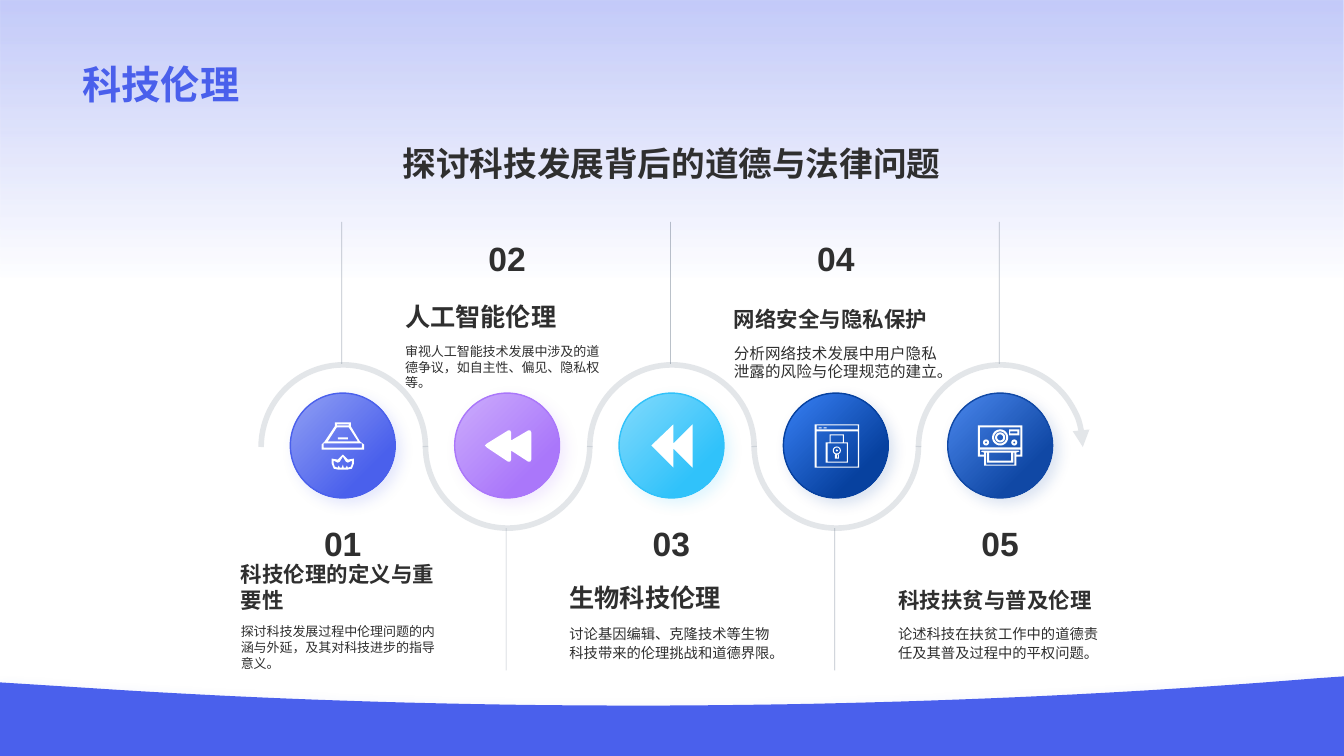
import math
from dataclasses import dataclass

import pptx
import pptx.dml.color
import pptx.enum.shapes
import pptx.enum.text
import pptx.oxml
import pptx.oxml.ns
import pptx.util
from pptx.util import Inches

ALIGN = pptx.enum.text.PP_ALIGN
ANCHOR = pptx.enum.text.MSO_ANCHOR
SHAPE = pptx.enum.shapes.MSO_SHAPE
STEP = 1.63  # distance between neighbouring topics, also the arc diameter


@dataclass(frozen=True)
class Theme:
    font: str = "Arial"
    primary: str = "4A60EC"
    ink: str = "2F2F2F"
    guide: str = "778495"
    white: str = "FFFFFF"
    title_size: float = 28
    large_size: float = 24
    heading_size: float = 18
    small_heading_size: float = 15.3


THEME = Theme()


@dataclass(frozen=True)
class Topic:
    heading: str
    heading_size: float
    body: str
    body_size: float
    body_spacing: float
    light: str
    dark: str
    icon: list


def rgb(value):
    return pptx.dml.color.RGBColor.from_string(value)


def add_xml(parent, tag, **attributes):
    child = pptx.oxml.parse_xml(f"<a:{tag} {pptx.oxml.ns.nsdecls('a')}/>")
    for name, value in attributes.items():
        child.set(name, str(value))
    parent.append(child)
    return child


def set_opacity(parent, percent):
    for color in parent.iter(pptx.oxml.ns.qn("a:srgbClr")):
        add_xml(color, "alpha", val=percent * 1000)


def add_shadow(shape, color, distance, degrees):
    shape.shadow.inherit = False
    effects = shape._element.spPr.find(pptx.oxml.ns.qn("a:effectLst"))
    shadow = add_xml(effects, "outerShdw", blurRad=pptx.util.Pt(10), dist=pptx.util.Pt(distance),
                     dir=degrees * 60000, algn="tl", rotWithShape=0)
    add_xml(shadow, "srgbClr", val=color)
    set_opacity(shadow, 15)


def style_line(shape, width, opacity):
    shape.line.color.rgb = rgb(THEME.guide)
    shape.line.width = pptx.util.Pt(width)
    set_opacity(shape.line._ln, opacity)


def write_text(shape, text, size, color=THEME.ink, bold=False, align=ALIGN.LEFT,
               anchor=ANCHOR.TOP, spacing=1.0, wrap=True):
    frame = shape.text_frame
    frame.word_wrap = wrap
    frame.vertical_anchor = anchor
    frame.text = text
    paragraph = frame.paragraphs[0]
    paragraph.alignment = align
    paragraph.line_spacing = spacing
    font = paragraph.font
    font.name, font.size, font.bold = THEME.font, pptx.util.Pt(size), bold
    font.color.rgb = rgb(color)


def add_text(slide, left, top, width, height, text, size, **style):
    box = slide.shapes.add_textbox(Inches(left), Inches(top), Inches(width), Inches(height))
    write_text(box, text, size, **style)


def add_gradient(slide, left, top, width, height, radius, stops, angle):
    """Add a rounded rectangle; the angle runs counter-clockwise."""
    shape = slide.shapes.add_shape(SHAPE.ROUNDED_RECTANGLE, Inches(left), Inches(top),
                                   Inches(width), Inches(height))
    shape.adjustments[0] = radius
    shape.shadow.inherit = False
    shape.line.fill.background()
    shape.fill.gradient()
    shape.fill.gradient_angle = angle
    for stop, (position, color) in zip(shape.fill.gradient_stops, stops):
        stop.position = position
        stop.color.rgb = rgb(color)
    return shape


def add_arc(slide, left, top, angles):
    arc = slide.shapes.add_shape(SHAPE.ARC, Inches(left), Inches(top), Inches(STEP), Inches(STEP))
    arc.adjustments[0], arc.adjustments[1] = angles
    arc.shadow.inherit = False
    arc.fill.background()
    style_line(arc, 4, 20)
    return arc


def add_separator(slide, x, bottom, top):
    line = slide.shapes.add_connector(pptx.enum.shapes.MSO_CONNECTOR.STRAIGHT, Inches(x),
                                      Inches(bottom), Inches(x), Inches(top))
    style_line(line, 0.5, 50)
    add_xml(line._element.spPr, "effectLst")


def add_outline(slide, contours, color):
    """Fill closed contours; a contour inside another cuts a hole."""
    builder = None
    for contour in contours:
        start, *rest = [(Inches(x), Inches(y)) for x, y in contour]
        if builder is None:
            builder = slide.shapes.build_freeform(*start)
        else:
            builder.move_to(*start)
        builder.add_line_segments(rest, close=True)
    shape = builder.convert_to_shape()
    shape.shadow.inherit = False
    shape.fill.solid()
    shape.fill.fore_color.rgb = rgb(color)
    shape.line.fill.background()
    return shape


def box(left, top, right, bottom):
    return [(left, top), (right, top), (right, bottom), (left, bottom)]


def disc(x, y, radius):
    angles = [math.tau * k / 24 for k in range(24)]
    return [(x + radius * math.cos(a), y + radius * math.sin(a)) for a in angles]


def curve(*points):
    """Sample a cubic Bezier curve, leaving out its first point."""
    weights = [((1 - t) ** 3, 3 * t * (1 - t) ** 2, 3 * t * t * (1 - t), t ** 3)
               for t in (k / 24 for k in range(1, 25))]
    return [tuple(sum(w * p[axis] for w, p in zip(row, points)) for axis in (0, 1))
            for row in weights]


LAMP = [
    [(3.22, 4.38), (3.32, 4.23), (3.32, 4.19), (3.48, 4.19), (3.48, 4.23), (3.57, 4.38),
     (3.61, 4.41), (3.61, 4.46), (3.19, 4.46), (3.19, 4.41)],
    box(3.21, 4.4, 3.59, 4.44), box(3.34, 4.21, 3.46, 4.22), box(3.35, 4.34, 3.45, 4.36),
    [(3.25, 4.38), (3.55, 4.38), (3.46, 4.24), (3.34, 4.24)],
    [(3.4, 4.51), (3.45, 4.56), (3.51, 4.55), (3.51, 4.6), (3.49, 4.65), (3.44, 4.66),
     (3.36, 4.66), (3.31, 4.65), (3.29, 4.6), (3.29, 4.55), (3.35, 4.56)],
    [(3.35, 4.64), (3.36, 4.62), (3.37, 4.64), (3.39, 4.64), (3.4, 4.61), (3.41, 4.64),
     (3.43, 4.64), (3.44, 4.62), (3.45, 4.64), (3.48, 4.63), (3.49, 4.6), (3.49, 4.57),
     (3.45, 4.59), (3.43, 4.58), (3.4, 4.53), (3.37, 4.58), (3.35, 4.59), (3.31, 4.57),
     (3.31, 4.6), (3.32, 4.63)]]
SOFT_REWIND = [[(5.24, 4.27), (5.07, 4.37), (5.07, 4.29), (5.06, 4.27), (5.04, 4.27), (4.83, 4.4),
                (4.81, 4.42), (4.83, 4.44), (5.04, 4.58), (5.06, 4.58), (5.07, 4.56), (5.07, 4.47),
                (5.24, 4.58), (5.26, 4.58), (5.27, 4.56), (5.27, 4.29), (5.26, 4.27)]]
SHARP_REWIND = [[(6.87, 4.64), (6.68, 4.45), (6.68, 4.64), (6.46, 4.42), (6.68, 4.21),
                 (6.68, 4.4), (6.87, 4.21)]]
LOCKED_WINDOW = [
    box(8.08, 4.21, 8.52, 4.64), box(8.1, 4.22, 8.51, 4.26), box(8.1, 4.28, 8.51, 4.63),
    box(8.12, 4.24, 8.15, 4.25), box(8.17, 4.24, 8.2, 4.25),
    [(8.19, 4.39), (8.23, 4.39), (8.23, 4.31), (8.37, 4.31), (8.37, 4.39), (8.41, 4.39),
     (8.41, 4.59), (8.19, 4.59)],
    box(8.24, 4.32, 8.36, 4.39), box(8.21, 4.4, 8.4, 4.58), box(8.28, 4.51, 8.32, 4.55),
    box(8.3, 4.51, 8.31, 4.54), *[disc(8.3, 4.47, r) for r in (0.04, 0.03, 0.01)]]
CAMERA = [
    [(9.7, 4.22), (10.14, 4.22), (10.14, 4.53), (10.08, 4.53), (10.08, 4.62), (9.76, 4.62),
     (9.76, 4.53), (9.7, 4.53)],
    box(9.72, 4.24, 10.12, 4.44), box(10.01, 4.26, 10.11, 4.32), box(10.02, 4.28, 10.09, 4.3),
    *[disc(9.92, 4.34, r) for r in (0.08, 0.06, 0.05, 0.03)],
    *[disc(x, 4.39, r) for x in (9.78, 10.06) for r in (0.03, 0.01)],
    [(9.72, 4.46), (10.12, 4.46), (10.12, 4.51), (10.08, 4.51), (10.08, 4.49), (10.11, 4.48),
     (10.1, 4.47), (9.74, 4.47), (9.73, 4.48), (9.76, 4.49), (9.76, 4.51), (9.72, 4.51)],
    [(9.78, 4.49), (9.79, 4.49), (9.79, 4.59), (10.05, 4.59), (10.05, 4.49), (10.06, 4.49),
     (10.06, 4.61), (9.78, 4.61)], box(9.81, 4.49, 10.03, 4.57)]
WAVE = [(13.33, 6.71), (13.33, 7.5), (0, 7.5), (0, 6.77), (0.95, 6.83),
        *curve((0.95, 6.83), (2.64, 6.94), (4.44, 7), (6.31, 7)),
        *curve((6.31, 7), (8.7, 7), (10.98, 6.9), (13.05, 6.73))]

TOPICS = [
    Topic("科技伦理的定义与重要性", THEME.small_heading_size,
          "探讨科技发展过程中伦理问题的内涵与外延，及其对科技进步的指导意义。",
          9.3, 1.0, "92A0F4", "4A60EC", LAMP),
    Topic("人工智能伦理", THEME.heading_size,
          "审视人工智能技术发展中涉及的道德争议，如自主性、偏见、隐私权等。",
          9.3, 1.0, "CCADFC", "AA77FA", SOFT_REWIND),
    Topic("生物科技伦理", THEME.heading_size,
          "讨论基因编辑、克隆技术等生物科技带来的伦理挑战和道德界限。",
          10.2, 1.1, "83DAFC", "30C2FA", SHARP_REWIND),
    Topic("网络安全与隐私保护", THEME.small_heading_size,
          "分析网络技术发展中用户隐私泄露的风险与伦理规范的建立。",
          11.1, 1.0, "3981F6", "07419F", LOCKED_WINDOW),
    Topic("科技扶贫与普及伦理", THEME.small_heading_size,
          "论述科技在扶贫工作中的道德责任及其普及过程中的平权问题。",
          10.2, 1.1, "4B88EE", "1048A5", CAMERA)]


def add_topic(slide, index, topic):
    """Add one topic; even indexes have their text below the arc, odd ones above."""
    shift = index * STEP
    below = index % 2 == 0
    arc = add_arc(slide, 2.59 + shift, 3.62 if below else 3.61, (108, 0) if below else (0, 108))
    if index == len(TOPICS) - 1:
        add_xml(arc.line._ln, "tailEnd", type="triangle")
    add_separator(slide, 3.39 + shift, *((3.61, 2.2) if below else (6.65, 5.24)))
    number_top, heading_top, body_top = (5.1, 5.61, 6.14) if below else (2.27, 2.82, 3.36)
    add_text(slide, 2.29 + shift, heading_top, 2.23, 0.52, topic.heading, topic.heading_size,
             bold=True, anchor=ANCHOR.BOTTOM)
    add_text(slide, 2.29 + shift, body_top, 2.23, 0.48, topic.body, topic.body_size,
             spacing=topic.body_spacing)
    circle = add_gradient(slide, 2.88 + shift, 3.9, 1.04, 1.04, 0.5,
                          [(0, topic.light), (0.75, topic.dark)], 315)
    circle.line.color.rgb = rgb(topic.dark)
    circle.line.width = pptx.util.Pt(1)
    add_shadow(circle, topic.dark, 5, 45)
    add_outline(slide, topic.icon, THEME.white)
    add_text(slide, 2.3 + shift, number_top, 2.2, 0.53, f"{index + 1:02}", THEME.large_size,
             bold=True, align=ALIGN.CENTER, spacing=1.1, wrap=False)


def main():
    presentation = pptx.Presentation()
    presentation.slide_width, presentation.slide_height = Inches(13.33), Inches(7.5)
    slide = presentation.slides.add_slide(presentation.slide_layouts[5])
    title = slide.shapes.title
    title.left, title.top, title.width, title.height = map(Inches, (0.72, 0.14, 11.88, 0.98))
    write_text(title, "科技伦理", THEME.title_size, color=THEME.primary, bold=True,
               anchor=ANCHOR.BOTTOM)
    sky = add_gradient(slide, 0, 0, 13.33, 7.5, 0, [(0.63, THEME.primary), (1, THEME.primary)], 90)
    for stop, opacity in zip(sky.fill.gradient_stops, (0, 33)):
        set_opacity(stop._gs, opacity)
    add_text(slide, 0.72, 1.24, 11.88, 0.76, "探讨科技发展背后的道德与法律问题", THEME.large_size,
             bold=True, align=ALIGN.CENTER, anchor=ANCHOR.MIDDLE)
    for index, topic in enumerate(TOPICS):
        add_topic(slide, index, topic)
    add_shadow(add_outline(slide, [WAVE], THEME.primary), THEME.primary, 4, 90)
    presentation.save("out.pptx")


if __name__ == "__main__":
    main()
